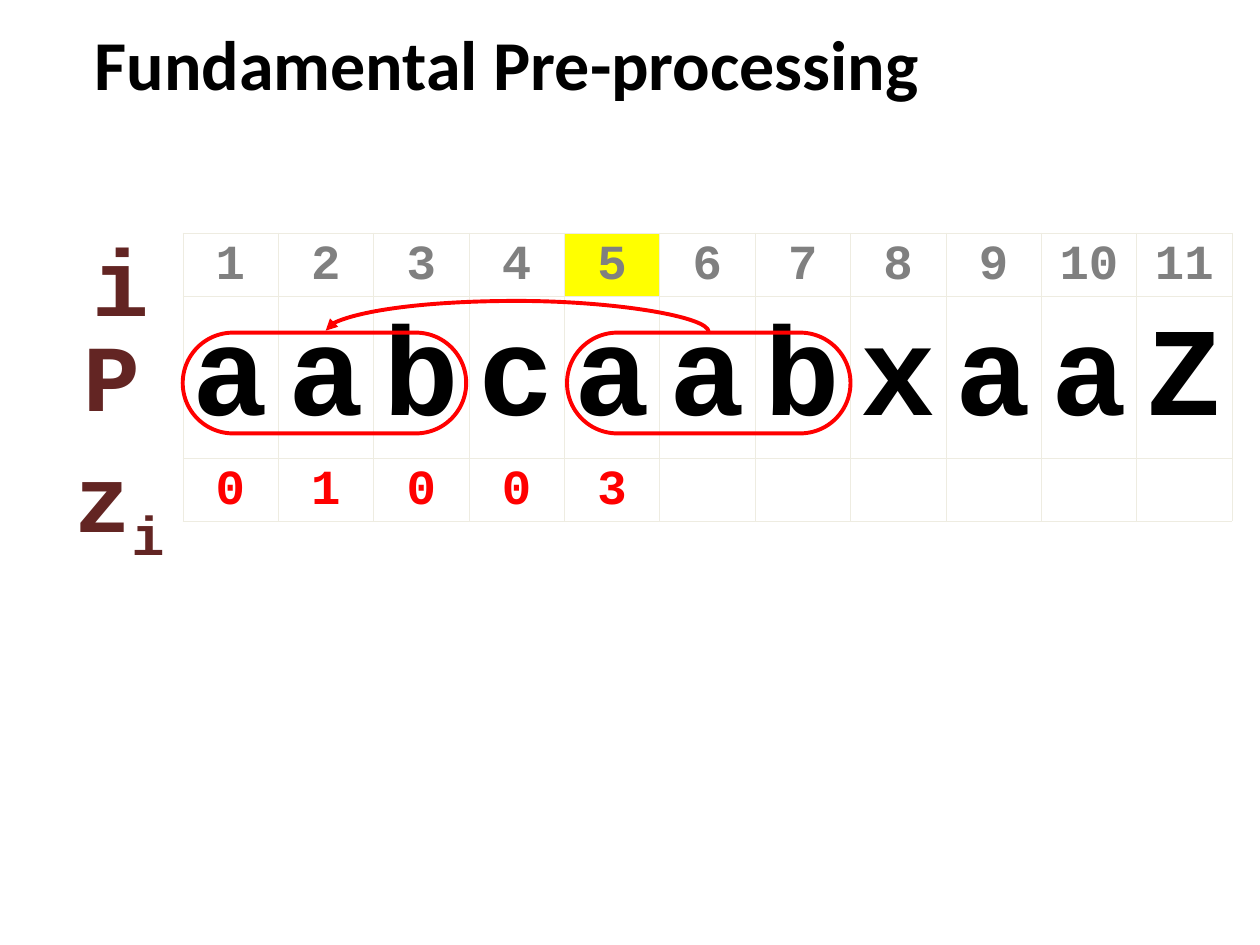
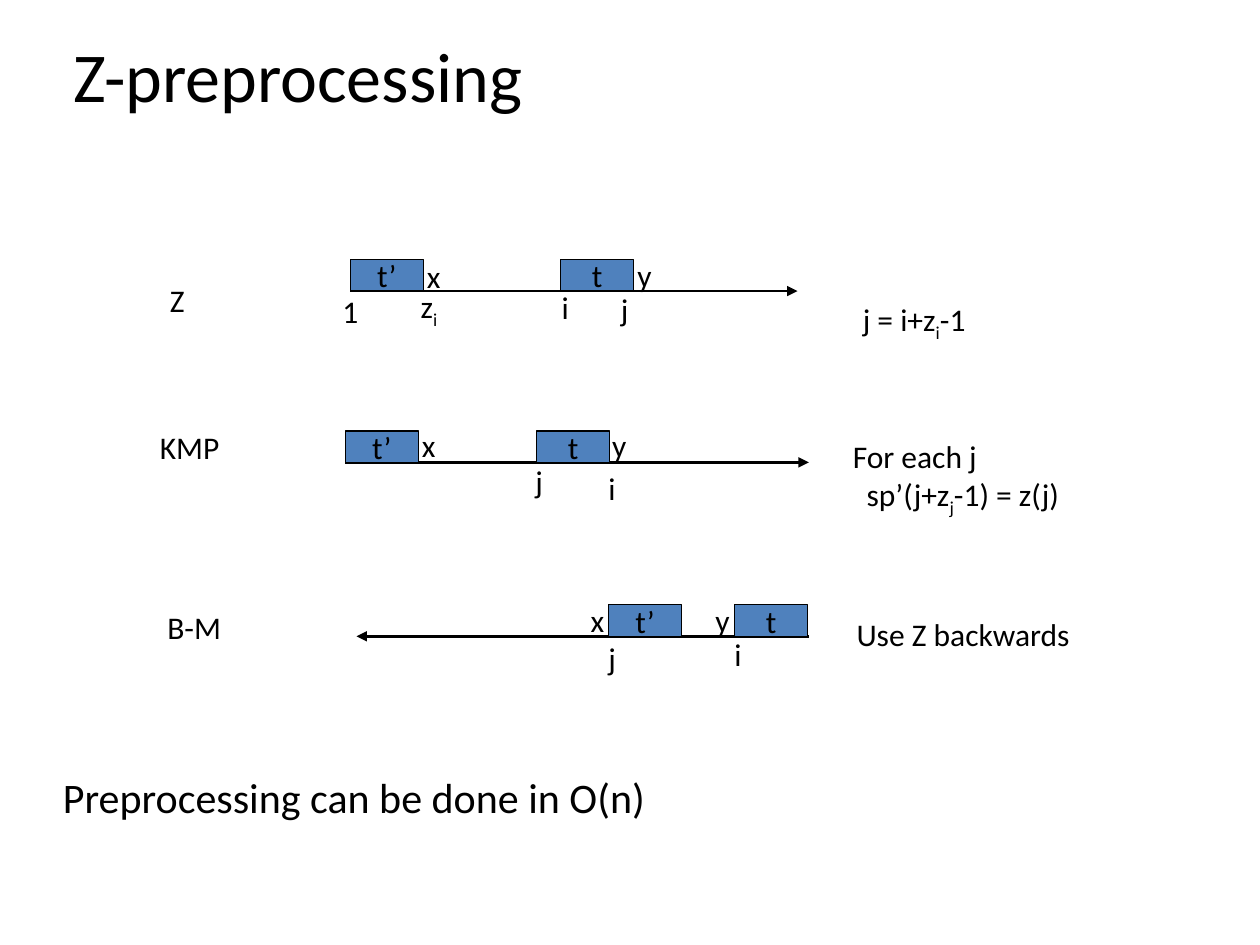
from lxml import etree
from pptx import Presentation
from pptx.dml.color import RGBColor
from pptx.enum.shapes import MSO_CONNECTOR, MSO_SHAPE
from pptx.enum.text import MSO_ANCHOR, MSO_AUTO_SIZE, PP_ALIGN
from pptx.oxml.ns import qn
from pptx.util import Inches, Pt

STRAIGHT, CURVE = MSO_CONNECTOR.STRAIGHT, MSO_CONNECTOR.CURVE
RECTANGLE, ROUNDED = MSO_SHAPE.RECTANGLE, MSO_SHAPE.ROUNDED_RECTANGLE
LEFT, CENTER = PP_ALIGN.LEFT, PP_ALIGN.CENTER
TOP, MIDDLE = MSO_ANCHOR.TOP, MSO_ANCHOR.MIDDLE
GROW = MSO_AUTO_SIZE.SHAPE_TO_FIT_TEXT

BLACK, GREY, RED, YELLOW = "000000", "808080", "FF0000", "FFFF00"
BROWN, BLUE, GRID = "632523", "4F81BD", "EEECE1"
SANS, MONO = "Calibri", "Courier New"
colour = RGBColor.from_string


def write(frame, text, size, ink=BLACK, font=SANS, bold=False, align=LEFT):
    for number, line in enumerate(text.split("\n")):
        paragraph = frame.add_paragraph() if number else frame.paragraphs[0]
        paragraph.alignment = align
        for position, part in enumerate(line.split("_")):
            run = paragraph.add_run()
            run.text = part
            if position % 2:
                run.font._element.set("baseline", "-25000")
        paragraph.font.size = Pt(size)
        paragraph.font.name = font
        paragraph.font.bold = bold
        paragraph.font.color.rgb = colour(ink)


def add_text(slide, at, text, size, inset=True, wrap=True, **style):
    frame = slide.shapes.add_textbox(*map(Inches, at)).text_frame
    frame.word_wrap = wrap
    frame.vertical_anchor = TOP
    if not inset:
        frame.margin_left = frame.margin_right = 0
        frame.margin_top = frame.margin_bottom = 0
    write(frame, text, size, **style)
    return frame


prs = Presentation()
prs.slide_width, prs.slide_height = Inches(10), Inches(7.5)
blank = prs.slide_layouts[6]
fundamental = prs.slides.add_slide(blank)
preprocessing = prs.slides.add_slide(blank)
arrows = []

add_text(fundamental, (0.75, 0.16, 8.5, 0.8), "Fundamental Pre-processing", 40, inset=False, bold=True)

table_rows = [
    (range(1, 12), 28, GREY, 0.47),
    ("aabcaabxaaZ", 72, BLACK, 1.21),
    ("01003", 28, RED, 0.47),
]
z_table = fundamental.shapes.add_table(
    3, 11, Inches(1.45), Inches(1.85), Inches(8.33), Inches(2.15)).table
z_table.first_row = z_table.horz_banding = False
for column in z_table.columns:
    column.width = Inches(8.33 / 11)
for row, (values, size, ink, height) in enumerate(table_rows):
    z_table.rows[row].height = Inches(height)
    for column in range(11):
        cell = z_table.cell(row, column)
        cell.margin_left = cell.margin_right = cell.margin_top = cell.margin_bottom = 0
        cell.vertical_anchor = MIDDLE
        if column < len(values):
            write(cell.text_frame, str(values[column]), size, ink, MONO, True, CENTER)
            cell.text_frame.paragraphs[0].line_spacing = 1.07
            cell.text_frame.paragraphs[0].space_after = Pt(8)
        properties = cell._tc.get_or_add_tcPr()
        for side in ("a:lnL", "a:lnR", "a:lnT", "a:lnB"):
            border = etree.SubElement(properties, qn(side), w=str(Pt(0.25)))
            ink_fill = etree.SubElement(border, qn("a:solidFill"))
            etree.SubElement(ink_fill, qn("a:srgbClr"), val=GRID)
        cell.fill.background()
        if (row, column) == (0, 4):
            cell.fill.solid()
            cell.fill.fore_color.rgb = colour(YELLOW)

row_label = dict(ink=BROWN, font=MONO, bold=True, align=CENTER)
pattern_label = add_text(fundamental, (0.32, 2.57, 1.13, 0.8), "P", 54, **row_label)
pattern_label.vertical_anchor = MIDDLE
for at, text in (((0.45, 3.37, 1, 0.8), "z_i"), ((0.46, 1.74, 1, 0.7), "i")):
    label = add_text(fundamental, at, text, 54, **row_label)
    label.margin_top = Inches(0.2)
    label.paragraphs[0].line_spacing = 0.8

for left in (4.5, 1.45):
    match = fundamental.shapes.add_shape(ROUNDED, Inches(left), Inches(2.64), Inches(2.25), Inches(0.8))
    match.adjustments[0] = 0.5
    match.shadow.inherit = False
    match.fill.background()
    match.line.color.rgb = colour(RED)
    match.line.width = Pt(2.25)

match_arc = fundamental.shapes.add_connector(
    CURVE, Inches(4.1), Inches(4.15), Inches(4.11), Inches(1.11))
shape_properties = match_arc._element.spPr
shape_properties.find(qn("a:xfrm")).set("rot", str(270 * 60000))
guides = shape_properties.find(qn("a:prstGeom")).get_or_add_avLst()
etree.SubElement(guides, qn("a:gd"), name="adj1", fmla="val 2500000")
arrows.append((match_arc, RED, 2.25))

add_text(preprocessing, (0.58, 0.26, 8.5, 1.25), "Z-preprocessing", 40, inset=False)
conclusion = add_text(preprocessing, (0.5, 6.17, 9, 0.53), "Preprocessing can be done in O(n)", 24, inset=False)
conclusion.paragraphs[0].line_spacing = 0.9

methods = [
    (2.78, 6.33, 2.31, 2.78, 4.45),
    (2.74, 6.42, 3.67, 2.74, 4.26),
    (6.42, 2.83, 5.05, 4.83, 5.83),
]
for start, end, level, prefix_left, match_left in methods:
    string_line = preprocessing.shapes.add_connector(
        STRAIGHT, Inches(start), Inches(level), Inches(end), Inches(level))
    arrows.append((string_line, BLACK, 1.5))
    for left, text in ((match_left, "t"), (prefix_left, "t’")):
        block = preprocessing.shapes.add_shape(
            RECTANGLE, Inches(left), Inches(level - 0.25), Inches(0.58), Inches(0.25))
        block.shadow.inherit = False
        block.fill.solid()
        block.fill.fore_color.rgb = colour(BLUE)
        block.line.color.rgb = colour(BLACK)
        block.line.width = Pt(0.75)
        block.text_frame.word_wrap = False
        block.text_frame.vertical_anchor = MIDDLE
        write(block.text_frame, text, 18, align=CENTER)

labels = [
    ("Z", 1.25, 2.18, 0.35),
    ("x", 3.29, 1.99, 0.33),
    ("y", 4.96, 1.98, 0.33),
    ("1", 2.62, 2.27, 0.34),
    ("z_i", 3.24, 2.23, 0.36),
    ("i", 4.36, 2.24, 0.26),
    ("j", 4.83, 2.25, 0.26),
    ("j = i+z_i_-1", 6.75, 2.33, 1.13),
    ("KMP", 1.17, 3.35, 0.74),
    ("x", 3.25, 3.33, 0.33),
    ("y", 4.76, 3.33, 0.33),
    ("j", 4.15, 3.62, 0.26),
    ("i", 4.73, 3.67, 0.26),
    ("B-M", 1.23, 4.78, 0.66),
    ("x", 4.59, 4.72, 0.33),
    ("y", 5.58, 4.72, 0.33),
    ("j", 4.73, 5.02, 0.26),
    ("i", 5.73, 4.99, 0.26),
    ("Use Z backwards", 6.7, 4.83, 2.13),
]
for text, left, top, width in labels:
    label = add_text(preprocessing, (left, top, width, 0.4), text, 18, wrap=False)
    label.auto_size = GROW

kmp_rule = add_text(preprocessing, (6.67, 3.42, 2.17, 0.7), "For each j\nsp’(j+z_j_-1) = z(j)", 18)
kmp_rule.auto_size = GROW
kmp_rule.paragraphs[1]._p.get_or_add_pPr().set("marL", str(Inches(0.11)))

for arrow, ink, width in arrows:
    arrow.line.color.rgb = colour(ink)
    arrow.line.width = Pt(width)
    etree.SubElement(arrow.line._get_or_add_ln(), qn("a:tailEnd"), type="triangle")
    etree.SubElement(arrow._element.spPr, qn("a:effectLst"))

prs.save("out.pptx")
